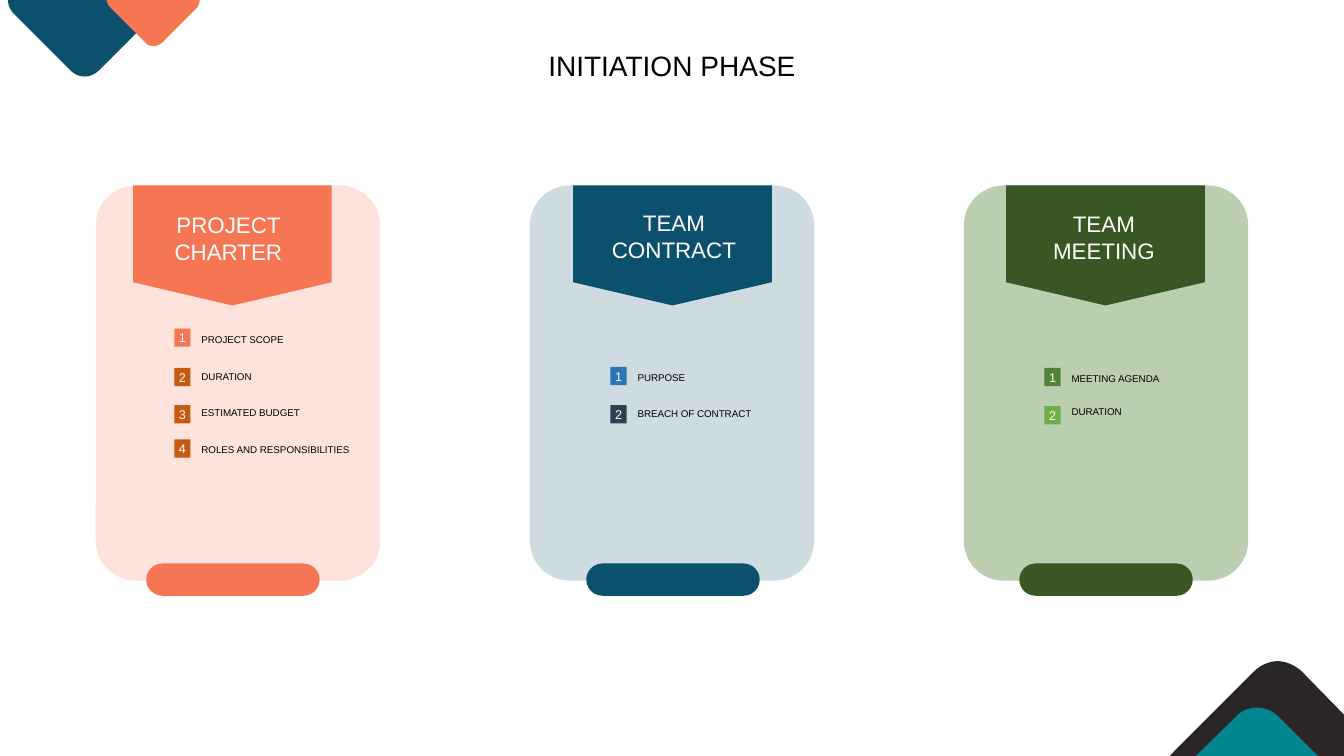
from lxml.etree import SubElement
from pptx import Presentation
from pptx.dml.color import RGBColor
from pptx.enum.shapes import MSO_SHAPE as SHAPE
from pptx.enum.text import MSO_ANCHOR as ANCHOR, PP_ALIGN as ALIGN
from pptx.oxml.ns import qn
from pptx.util import Inches, Pt

FONT = "Arial"
CARD_W, CARD_H, CARD_TOP = 2.82, 3.92, 1.84
CARD_LEFT, CARD_PITCH = 0.95, 4.305
CURVE_STEPS = 10

CORNERS = [
    ("0B506C", [(0.08, 0), (1.6, 0), (1.6, 0.05, 1.58, 0.1, 1.54, 0.14),
                (0.98, 0.7), (0.9, 0.78, 0.78, 0.78, 0.7, 0.7),
                (0.14, 0.14), (0.1, 0.1, 0.08, 0.05, 0.08, 0)]),
    ("F67654", [(1.06, 0), (1.98, 0), (1.98, 0.03, 1.97, 0.06, 1.95, 0.08),
                (1.61, 0.42), (1.56, 0.47, 1.48, 0.47, 1.44, 0.42),
                (1.1, 0.08), (1.08, 0.06, 1.06, 0.03, 1.06, 0)]),
    ("2A2625", [(12.67, 6.56), (12.76, 6.56, 12.84, 6.6, 12.91, 6.66),
                (13.33, 7.09), (13.33, 7.5), (11.6, 7.5), (12.44, 6.66),
                (12.5, 6.6, 12.59, 6.56, 12.67, 6.56)]),
    ("02868F", [(12.47, 7.02), (12.54, 7.02, 12.62, 7.05, 12.68, 7.11),
                (13.07, 7.5), (11.86, 7.5), (12.26, 7.11),
                (12.31, 7.05, 12.39, 7.02, 12.47, 7.02)]),
]

CARDS = [
    dict(title=["PROJECT CHARTER"], color="F67654", tint=("F67654", 20),
         ribbon_dx=0.37, title_box=(0.23, 0.21, 2.17), list_dx=0.78,
         items=[("PROJECT SCOPE", "F67654", 1.42, 1.42),
                ("DURATION", "C55A11", 1.81, 1.79),
                ("ESTIMATED BUDGET", "C55A11", 2.18, 2.15),
                ("ROLES AND RESPONSIBILITIES", "C55A11", 2.52, 2.51)]),
    dict(title=["TEAM CONTRACT"], color="0B506C", tint=("0B506C", 20),
         ribbon_dx=0.43, title_box=(0.46, 0.19, 1.94), list_dx=0.8,
         items=[("PURPOSE", "2E75B6", 1.8, 1.8),
                ("BREACH OF CONTRACT", "333F50", 2.18, 2.16)]),
    dict(title=["TEAM ", "MEETING "], color="385723", tint=("548235", 39),
         ribbon_dx=0.42, title_box=(0.45, 0.2, 1.94), list_dx=0.8,
         items=[("MEETING AGENDA", "548235", 1.81, 1.81),
                ("DURATION", "70AD47", 2.19, 2.14)]),
]


def rgb(color):
    return RGBColor.from_string(color)


def paint(sp, color, alpha=None):
    sp.shadow.inherit = False
    sp.fill.solid()
    sp.fill.fore_color.rgb = rgb(color)
    sp.line.fill.background()
    if alpha is not None:
        clr = sp._element.spPr.find(qn("a:solidFill"))[0]
        SubElement(clr, qn("a:alpha")).set("val", str(alpha * 1000))
    return sp


def add_block(s, kind, x, y, w, h, color, alpha=None, corner=None):
    sp = s.shapes.add_shape(kind, Inches(x), Inches(y), Inches(w), Inches(h))
    if corner is not None:
        sp.adjustments[0] = corner
    return paint(sp, color, alpha)


def add_outline(s, points, color):
    points = [(Inches(x), Inches(y)) for x, y in points]
    fb = s.shapes.build_freeform(*points[0], scale=1.0)
    fb.add_line_segments(points[1:], close=True)
    return paint(fb.convert_to_shape(), color)


def flatten(segments):
    points = [segments[0]]
    for seg in segments[1:]:
        if len(seg) == 2:
            points.append(seg)
            continue
        ctrl = [points[-1], seg[:2], seg[2:4], seg[4:]]
        for i in range(1, CURVE_STEPS + 1):
            t = i / CURVE_STEPS
            weights = ((1 - t) ** 3, 3 * t * (1 - t) ** 2, 3 * t * t * (1 - t), t ** 3)
            points.append(tuple(sum(k * c[axis] for k, c in zip(weights, ctrl))
                                for axis in (0, 1)))
    return points


def write(tf, lines, size, color, align):
    for i, line in enumerate(lines):
        p = tf.paragraphs[0] if i == 0 else tf.add_paragraph()
        p.alignment = align
        r = p.add_run()
        r.text = line
        r.font.name = FONT
        r.font.size = Pt(size)
        r.font.color.rgb = rgb(color)


def add_text(s, x, y, w, h, lines, size, color, align=ALIGN.CENTER):
    tf = s.shapes.add_textbox(Inches(x), Inches(y), Inches(w), Inches(h)).text_frame
    tf.word_wrap = True
    write(tf, lines, size, color, align)


def add_item(s, x, y, number, label, color, square_dy, label_dy):
    sp = add_block(s, SHAPE.RECTANGLE, x, y + square_dy, 0.16, 0.18, color)
    tf = sp.text_frame
    tf.margin_left = tf.margin_right = tf.margin_top = tf.margin_bottom = 0
    tf.word_wrap = False
    tf.vertical_anchor = ANCHOR.MIDDLE
    write(tf, [str(number)], 9, "FFFFFF", ALIGN.CENTER)
    add_text(s, x + 0.17, y + label_dy, 1.87, 0.22, [label], 7, "000000", ALIGN.LEFT)


def add_card(s, x, y, card):
    color = card["color"]
    add_block(s, SHAPE.ROUNDED_RECTANGLE, x, y, CARD_W, CARD_H, *card["tint"], corner=0.14)
    left = x + card["ribbon_dx"]
    right = left + 1.97
    add_outline(s, [(left, y), (right, y), (right, y + 0.96),
                    ((left + right) / 2, y + 1.19), (left, y + 0.96)], color)
    add_block(s, SHAPE.ROUNDED_RECTANGLE, left + 0.13, y + 3.75, 1.72, 0.32, color, corner=0.5)
    dx, dy, w = card["title_box"]
    add_text(s, x + dx, y + dy, w, 0.64, card["title"], 16, "FFFFFF")
    for number, item in enumerate(card["items"], 1):
        add_item(s, x + card["list_dx"], y, number, *item)


def main():
    prs = Presentation()
    prs.slide_width, prs.slide_height = Inches(13.33), Inches(7.5)
    s = prs.slides.add_slide(prs.slide_layouts[6])
    for color, segments in CORNERS:
        add_outline(s, flatten(segments), color)
    add_text(s, 4.81, 0.43, 3.71, 0.44, ["INITIATION PHASE"], 20, "000000")
    for i, card in enumerate(CARDS):
        add_card(s, CARD_LEFT + i * CARD_PITCH, CARD_TOP, card)
    prs.save("out.pptx")


if __name__ == "__main__":
    main()
